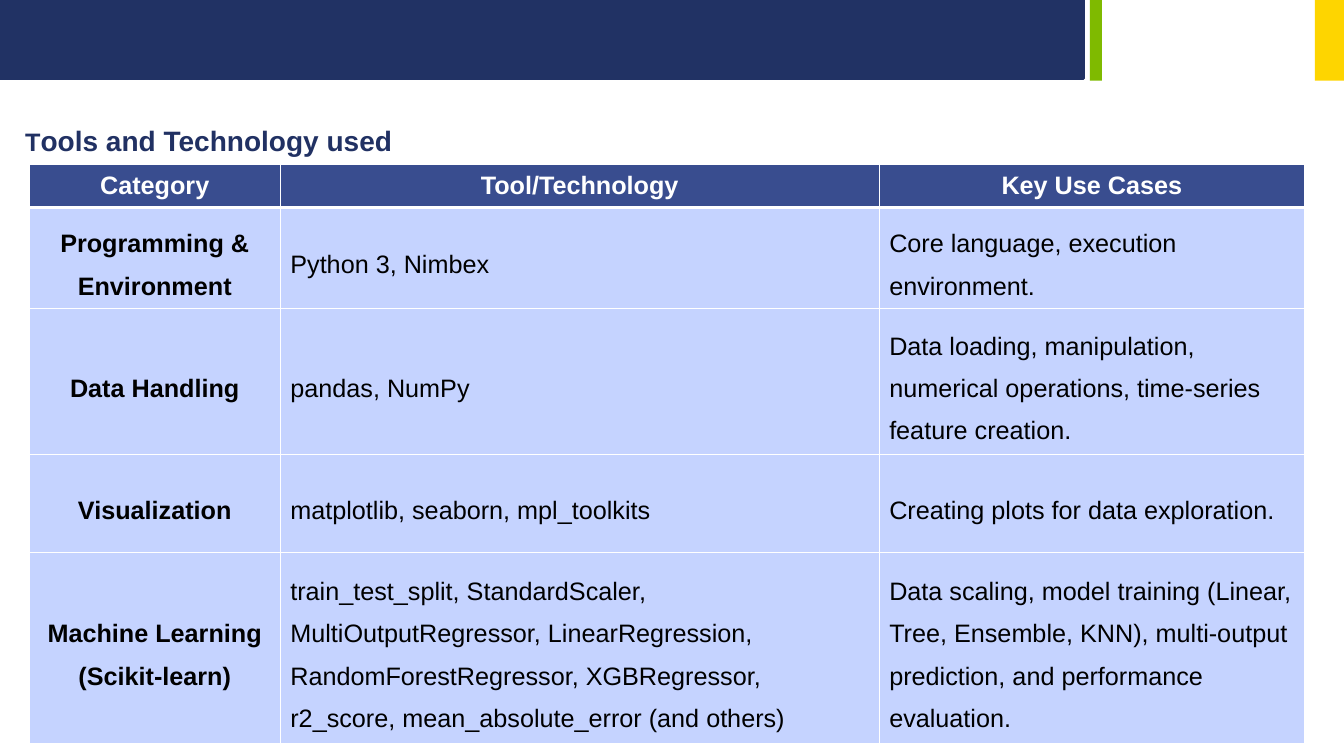
from dataclasses import dataclass

from lxml import etree
from pptx import Presentation
from pptx import util as u
from pptx.dml.color import RGBColor
from pptx.enum import shapes, text
from pptx.oxml.ns import qn

PX = 9144


@dataclass(frozen=True)
class Theme:
    """Colours, font and type sizes of the slide."""

    font: str = "Arial"
    navy: str = "213264"
    green: str = "7FBA00"
    yellow: str = "FED500"
    title: str = "213163"
    header: str = "394D8F"
    body: str = "C5D3FF"
    white: str = "FFFFFF"
    black: str = "000000"
    title_size: int = 20
    text_size: int = 18


THEME = Theme()
COLUMN_WIDTHS = (249, 594, 422)
ROW_HEIGHTS = (43, 68, 97, 97, 44)
TOOLS = (
    ("Category", "Tool/Technology", "Key Use Cases"),
    ("Programming & Environment", "Python 3, Nimbex",
     "Core language, execution environment."),
    ("Data Handling", "pandas, NumPy",
     "Data loading, manipulation, numerical operations, time-series feature creation."),
    ("Visualization", "matplotlib, seaborn, mpl_toolkits",
     "Creating plots for data exploration."),
    ("Machine Learning (Scikit-learn)",
     "train_test_split, StandardScaler, MultiOutputRegressor, LinearRegression, "
     "RandomForestRegressor, XGBRegressor, r2_score, mean_absolute_error (and others)",
     "Data scaling, model training (Linear, Tree, Ensemble, KNN), multi-output "
     "prediction, and performance evaluation."),
)


def px(*lengths):
    """Turn pixel lengths into EMU."""
    return [u.Emu(length * PX) for length in lengths]


def style_run(run, size, color, bold):
    """Set the font of one run."""
    run.font.name = THEME.font
    run.font.size = u.Pt(size)
    run.font.bold = bold
    run.font.color.rgb = RGBColor.from_string(color)


def add_bar(slide, box, color, line_width=0):
    """Add one plain colour bar of the top band."""
    bar = slide.shapes.add_shape(shapes.MSO_SHAPE.RECTANGLE, *px(*box))
    bar.shadow.inherit = False
    bar.fill.solid()
    bar.fill.fore_color.rgb = RGBColor.from_string(color)
    if line_width:
        bar.line.color.rgb = RGBColor.from_string(color)
        bar.line.width = u.Pt(line_width)
    else:
        bar.line.fill.background()


def set_title(slide, box):
    """Place the title with its slightly smaller first letter."""
    title = slide.shapes.title
    title.left, title.top, title.width, title.height = px(*box)
    frame = title.text_frame
    frame.word_wrap = True
    frame.auto_size = text.MSO_AUTO_SIZE.SHAPE_TO_FIT_TEXT
    frame.vertical_anchor = text.MSO_ANCHOR.TOP
    paragraph = frame.paragraphs[0]
    paragraph.alignment = text.PP_ALIGN.LEFT
    for words, size in (("T", THEME.text_size), ("ools and Technology used", THEME.title_size)):
        run = paragraph.add_run()
        run.text = words
        style_run(run, size, THEME.title, True)


def set_borders(cell, bottom_width):
    """Draw white borders around a cell."""
    properties = cell._tc.get_or_add_tcPr()
    widths = {"a:lnL": 1, "a:lnR": 1, "a:lnT": 1, "a:lnB": bottom_width}
    for position, (tag, width) in enumerate(widths.items()):
        line = etree.Element(qn(tag), w=str(u.Pt(width)))
        fill = etree.SubElement(line, qn("a:solidFill"))
        etree.SubElement(fill, qn("a:srgbClr"), val=THEME.white)
        properties.insert(position, line)


def fill_cell(cell, words, is_header, is_category):
    """Write and format one table cell."""
    cell.text_frame.text = words
    cell.vertical_anchor = text.MSO_ANCHOR.MIDDLE
    cell.fill.solid()
    cell.fill.fore_color.rgb = RGBColor.from_string(THEME.header if is_header else THEME.body)
    set_borders(cell, 3 if is_header else 1)
    paragraph = cell.text_frame.paragraphs[0]
    emphasized = is_header or is_category
    paragraph.alignment = text.PP_ALIGN.CENTER if emphasized else text.PP_ALIGN.LEFT
    if not is_header:
        paragraph.line_spacing = 1.5
        paragraph.space_after = u.Pt(1.3)
    color = THEME.white if is_header else THEME.black
    style_run(paragraph.runs[0], THEME.text_size, color, emphasized)


def add_tools_table(slide, box):
    """Add the table of tools."""
    frame = slide.shapes.add_table(len(TOOLS), len(COLUMN_WIDTHS), *px(*box))
    table = frame.table
    for column, width in zip(table.columns, px(*COLUMN_WIDTHS)):
        column.width = width
    for row, height in zip(table.rows, px(*ROW_HEIGHTS)):
        row.height = height
    frame.height = px(box[3])[0]
    for row_index, row in enumerate(TOOLS):
        for column_index, words in enumerate(row):
            cell = table.cell(row_index, column_index)
            fill_cell(cell, words, row_index == 0, column_index == 0)


def main():
    """Build and save the slide."""
    presentation = Presentation()
    presentation.slide_width, presentation.slide_height = px(1333, 750)
    slide = presentation.slides.add_slide(presentation.slide_layouts[5])
    add_bar(slide, (0, 0, 1075, 78), THEME.navy, line_width=2)
    add_bar(slide, (1081, 0, 12, 80), THEME.green)
    add_bar(slide, (1304, 0, 29, 80), THEME.yellow)
    set_title(slide, (15, 117, 667, 44))
    add_tools_table(slide, (29, 163, 1265, 558))
    presentation.save("out.pptx")


if __name__ == "__main__":
    main()
